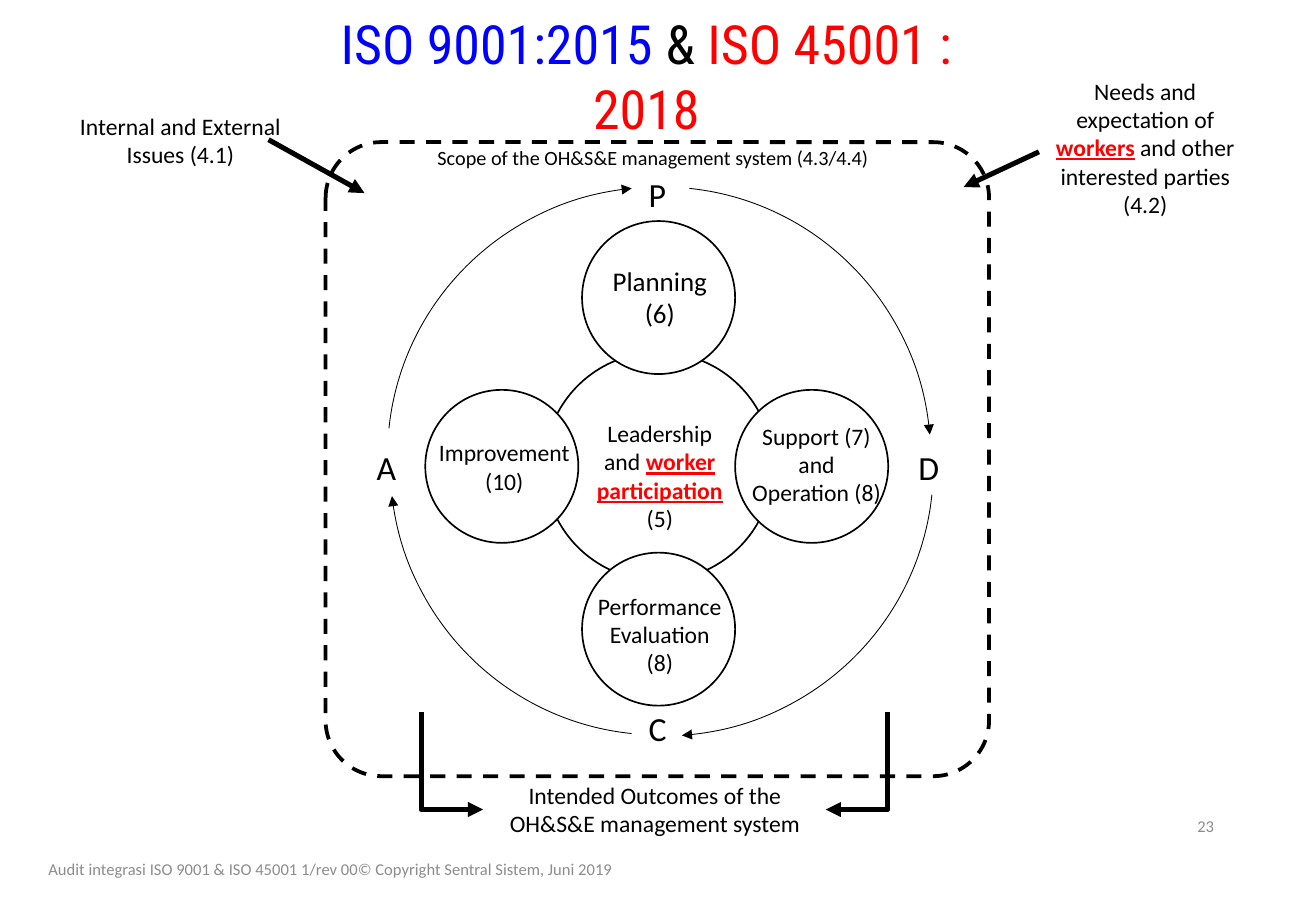
from pptx import Presentation
from pptx.dml.color import RGBColor
from pptx.enum.dml import MSO_LINE
from pptx.enum.shapes import MSO_CONNECTOR, MSO_SHAPE
from pptx.enum.text import MSO_ANCHOR, MSO_AUTO_SIZE, PP_ALIGN
from pptx.oxml.ns import qn
from pptx.util import Pt
from lxml.etree import SubElement

PX = 9144
COLORS = {"black": "000000", "white": "FFFFFF", "red": "FF0000", "blue": "0000FF", "gray": "8C8C8C"}
PLAIN = {"name": "Calibri", "size": Pt(14), "bold": False, "underline": False}
STYLES = {
    "body": PLAIN,
    "strong": {**PLAIN, "bold": True, "underline": True},
    "scope": {**PLAIN, "size": Pt(12)},
    "stage": {**PLAIN, "size": Pt(16)},
    "letter": {**PLAIN, "size": Pt(20)},
    "footer": {**PLAIN, "size": Pt(9.8)},
    "title": {**PLAIN, "name": "Roboto Condensed", "size": Pt(32)},
}
GROW = {"word_wrap": True, "auto_size": MSO_AUTO_SIZE.SHAPE_TO_FIT_TEXT}
MIDDLE = {"word_wrap": True, "vertical_anchor": MSO_ANCHOR.MIDDLE}


def rgb(name):
    """Return the named colour."""
    return RGBColor.from_string(COLORS[name])


def emu(*lengths):
    """Turn px lengths into EMU."""
    return [n * PX for n in lengths]


def set_all(obj, values):
    """Set each attribute in values on obj."""
    for key, value in values.items():
        setattr(obj, key, value)


def add_text(s, box, *paragraphs, align=PP_ALIGN.CENTER, frame=GROW):
    """Add a text box whose paragraphs are lists of (text, style, colour) runs."""
    tf = s.shapes.add_textbox(*emu(*box)).text_frame
    set_all(tf, frame)
    for i, runs in enumerate(paragraphs):
        p = tf.add_paragraph() if i else tf.paragraphs[0]
        p.alignment = align
        for text, style, color in runs:
            r = p.add_run()
            r.text = text
            set_all(r.font, STYLES[style])
            r.font.color.rgb = rgb(color)


def set_line(sp, width, arrow=False):
    """Draw a black line, with an arrowhead at its end if asked."""
    sp.line.color.rgb = rgb("black")
    sp.line.width = Pt(width)
    if arrow:
        SubElement(sp.line._get_or_add_ln(), qn("a:tailEnd"), type="triangle")


def add_outline(s, kind, box, width, fill=None, arrow=False, adjust=(), rotation=0):
    """Add an outlined preset shape."""
    sp = s.shapes.add_shape(kind, *emu(*box))
    sp.shadow.inherit = False
    sp.rotation = rotation
    for i, value in enumerate(adjust):
        sp.adjustments[i] = value
    if fill:
        sp.fill.solid()
        sp.fill.fore_color.rgb = rgb(fill)
    else:
        sp.fill.background()
    set_line(sp, width, arrow)
    return sp


def add_arrow(s, ends, kind=MSO_CONNECTOR.STRAIGHT):
    """Add a thick arrow between two points."""
    sp = s.shapes.add_connector(kind, *emu(*ends))
    set_line(sp, 3, arrow=True)
    SubElement(sp._element.spPr, qn("a:effectLst"))
    return sp


def add_corner_arrow(s, ends, rotation):
    """Add an arrow with one right-angle bend."""
    spPr = add_arrow(s, ends, MSO_CONNECTOR.ELBOW)._element.spPr
    spPr.find(qn("a:prstGeom")).set("prst", "bentConnector2")
    spPr.find(qn("a:xfrm")).set("rot", str(rotation * 60000))


def add_frame(s):
    """Add the title, the scope boundary and the texts around it."""
    add_text(s, (227, 4, 610, 64), [("ISO 9001:2015 ", "title", "blue"), ("& ", "title", "black"),
                                    ("ISO 45001 : 2018", "title", "red")])
    sp = add_outline(s, MSO_SHAPE.ROUNDED_RECTANGLE, (268, 117, 546, 522), 2.25, adjust=[0.088])
    sp.line.dash_style = MSO_LINE.DASH
    add_text(s, (273, 115, 529, 30),
             [("Scope of the OH&S&E management system (4.3/4.4)", "scope", "black")])
    add_text(s, (53, 87, 191, 57), [("Internal and External Issues (4.1)", "body", "black")])
    add_text(s, (847, 58, 191, 128), [("Needs and expectation of ", "body", "black"),
                                      ("workers", "strong", "red"),
                                      (" and other interested parties (4.2)", "body", "black")])
    add_text(s, (398, 638, 282, 57),
             [("Intended Outcomes of the OH&S&E management system", "body", "black")])


def add_cycle(s):
    """Add the circles, letters, arcs and labels of the PDCA cycle."""
    add_outline(s, MSO_SHAPE.OVAL, (448, 290, 188, 188), 1)
    for x, y in [(479, 182), (479, 455), (605, 321), (350, 321)]:
        add_outline(s, MSO_SHAPE.OVAL, (x, y, 126, 126), 1, fill="white")
    for letter, x, y in [("P", 524, 138), ("D", 746, 363), ("A", 300, 363), ("C", 524, 578)]:
        add_text(s, (x, y, 35, 44), [(letter, "letter", "black")], align=PP_ALIGN.LEFT)
    for x, y, rotation, end in [(321, 152, 270, 212.56), (324, 154, 0, 213.02),
                                (324, 162, 90, 213.48), (321, 159, 180, 211.88)]:
        add_outline(s, MSO_SHAPE.ARC, (x, y, 442, 446), 0.5, arrow=True,
                    adjust=[165.44, end], rotation=rotation)
    add_text(s, (480, 213, 126, 64), [("Planning", "stage", "black")], [("(6)", "stage", "black")])
    add_text(s, (480, 340, 126, 104), [("Leadership and ", "body", "black"),
                                       ("worker participation ", "strong", "red"),
                                       ("(5)", "body", "black")])
    for text, *box in [("Support (7) and Operation (8)", 609, 342, 126, 81),
                       ("Performance Evaluation (8)", 480, 482, 126, 81),
                       ("Improvement (10)", 346, 356, 138, 57)]:
        add_text(s, box, [(text, "body", "black")])


def main():
    """Build the slide and save it."""
    prs = Presentation()
    prs.slide_width, prs.slide_height = emu(1083, 750)
    s = prs.slides.add_slide(prs.slide_layouts[6])
    add_frame(s)
    add_cycle(s)
    add_arrow(s, (221, 115, 300, 159))
    add_arrow(s, (855, 125, 793, 154))
    add_corner_arrow(s, (665, 601, 745, 652), 90)
    add_corner_arrow(s, (412, 601, 332, 652), 270)
    add_text(s, (765, 660, 244, 40), [("23", "footer", "gray")],
             align=PP_ALIGN.RIGHT, frame=MIDDLE)
    add_text(s, (30, 695, 695, 40),
             [("Audit integrasi ISO 9001 & ISO 45001 1/rev 00© Copyright Sentral Sistem, Juni 2019",
               "footer", "gray")], align=PP_ALIGN.LEFT, frame=MIDDLE)
    prs.save("out.pptx")


if __name__ == "__main__":
    main()
